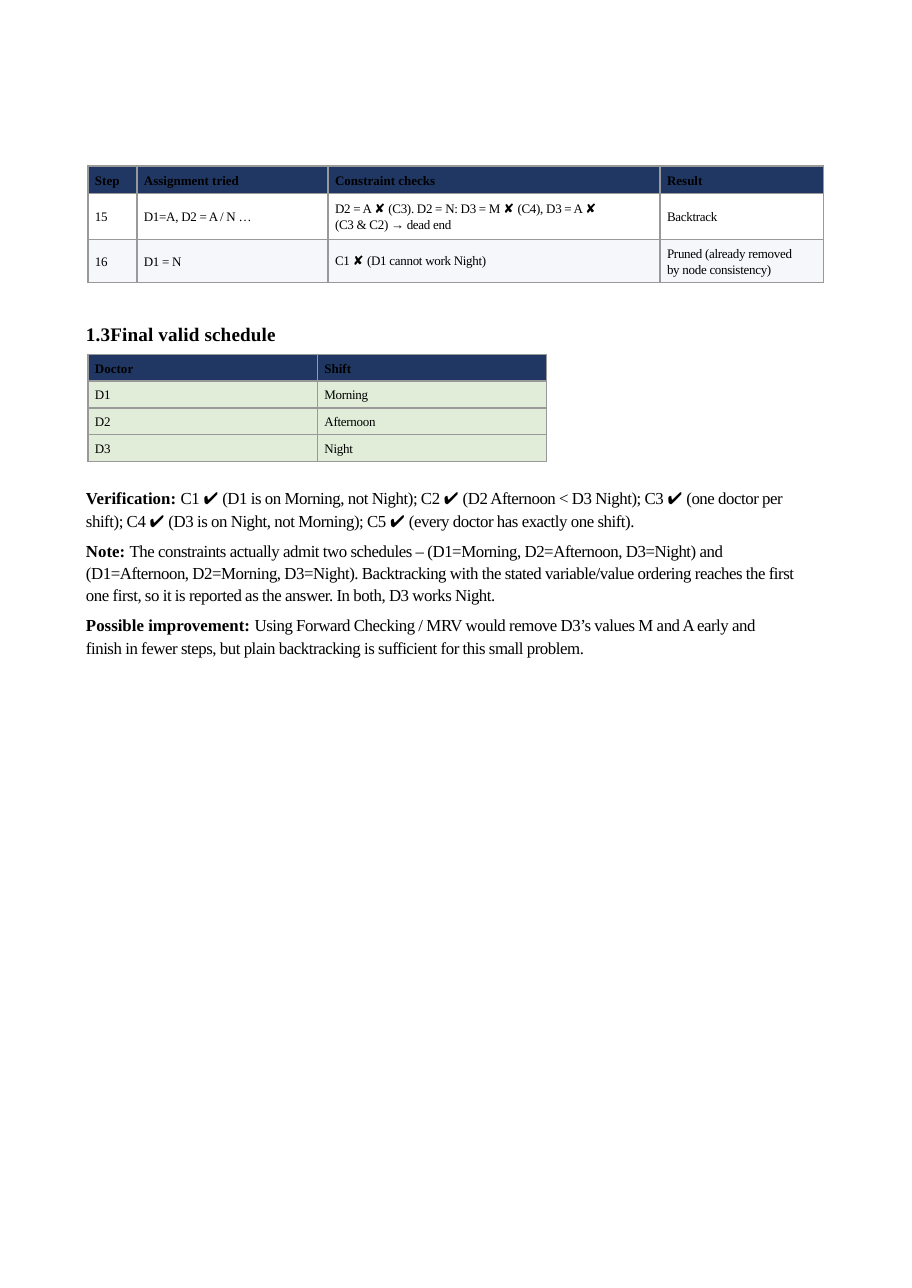
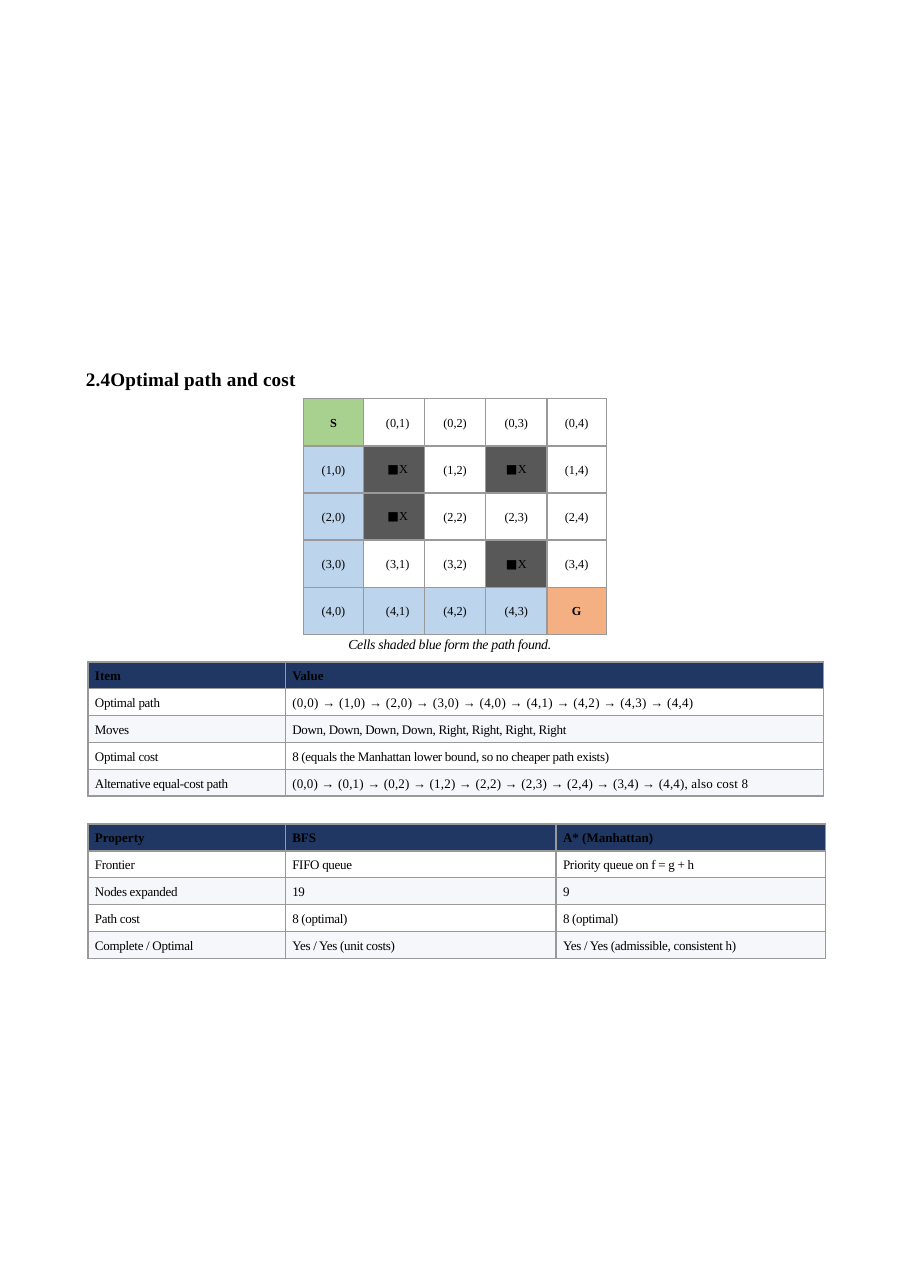
from dataclasses import dataclass, replace
from itertools import cycle, groupby

from lxml.etree import SubElement
from pptx import Presentation
from pptx.dml.color import RGBColor
from pptx.enum.text import MSO_ANCHOR, MSO_AUTO_SIZE, PP_ALIGN
from pptx.oxml import parse_xml
from pptx.oxml.ns import nsdecls, qn
from pptx.util import Pt


@dataclass(frozen=True)
class TextStyle:
    size: float
    line: float
    tracking: float = 0
    bold: bool = False
    italic: bool = False


@dataclass(frozen=True)
class Theme:
    text_font: str = "Times New Roman"
    symbol_font: str = "Calibri"
    symbols: str = "✘✔■"
    symbol_tracking: float = 0.2
    ink: str = "000000"
    border: str = "999999"
    header: str = "1F3762"
    stripe: str = "F6F7FA"
    valid: str = "E1EDD9"
    start: str = "A8D08E"
    route: str = "BCD5EC"
    wall: str = "585858"
    goal: str = "F4B082"
    title: TextStyle = TextStyle(12.5, 13.8, 0.1, bold=True)
    body: TextStyle = TextStyle(11, 14.6, -0.3)
    lead: TextStyle = TextStyle(11, 14.6, bold=True)
    table_head: TextStyle = TextStyle(8.5, 10.6, bold=True)
    table_text: TextStyle = TextStyle(8.5, 10.6, -0.2)
    grid_text: TextStyle = TextStyle(8, 10)
    grid_mark: TextStyle = TextStyle(8, 10, bold=True)
    caption: TextStyle = TextStyle(9, 10, -0.2, italic=True)


THEME = Theme()
PAGE_SIZE = (596.16, 841.68)
TEXT_LEFT, TABLE_LEFT = 56.2, 57.5
CELL_INSET = 4.6
ROW_HEIGHT = 17.55


def set_attributes(target, values):
    for name, value in values.items():
        setattr(target, name, value)


def place(shape, left, top, width, height):
    sides = dict(left=left, top=top, width=width, height=height)
    set_attributes(shape, {name: Pt(value) for name, value in sides.items()})


class Report:
    def __init__(self, theme):
        self.theme = theme
        self.deck = Presentation()
        self.deck.slide_width, self.deck.slide_height = map(Pt, PAGE_SIZE)
        self.page = None

    def add_page(self, layout):
        self.page = self.deck.slides.add_slide(self.deck.slide_layouts.get_by_name(layout))

    def add_text(self, para, text, style):
        """Add text to a paragraph, giving symbols their own font."""
        theme = self.theme
        for is_symbol, letters in groupby(text, lambda letter: letter in theme.symbols):
            span = para.add_run()
            span.text = "".join(letters)
            set_attributes(span.font, {
                "name": theme.symbol_font if is_symbol else theme.text_font,
                "size": Pt(style.size),
                "bold": style.bold,
                "italic": style.italic,
            })
            span.font.color.rgb = RGBColor.from_string(theme.ink)
            tracking = theme.symbol_tracking if is_symbol else style.tracking
            span._r.get_or_add_rPr().set("spc", str(round(tracking * 100)))

    def format_paragraph(self, para, style, align=PP_ALIGN.LEFT, before=0):
        set_attributes(para, {
            "alignment": align,
            "line_spacing": Pt(style.line),
            "space_before": Pt(before),
        })

    def prepare_frame(self, shape, anchor, wrap):
        frame = shape.text_frame
        set_attributes(frame, {
            "margin_left": 0, "margin_top": 0, "margin_right": 0, "margin_bottom": 0,
            "vertical_anchor": anchor, "word_wrap": wrap, "auto_size": MSO_AUTO_SIZE.NONE,
        })
        return frame

    def one_line(self, shape, text, style, position):
        place(shape, *position)
        para = self.prepare_frame(shape, MSO_ANCHOR.MIDDLE, False).paragraphs[0]
        self.format_paragraph(para, style)
        self.add_text(para, text, style)

    def title(self, text, top, width):
        self.one_line(self.page.shapes.title, text, self.theme.title,
                      (TEXT_LEFT, top, width, 13.8))

    def caption(self, text, left, top, width):
        box = self.page.shapes.add_textbox(0, 0, 0, 0)
        self.one_line(box, text, self.theme.caption, (left, top, width, 10))

    def body(self, remarks, top, width, height):
        """Fill the body placeholder with (bold lead, text) paragraphs."""
        box = self.page.placeholders[1]
        place(box, TEXT_LEFT, top, width, height)
        frame = self.prepare_frame(box, MSO_ANCHOR.TOP, True)
        for index, (lead, text) in enumerate(remarks):
            para = frame.add_paragraph() if index else frame.paragraphs[0]
            properties = para._p.get_or_add_pPr()
            properties.set("marL", "0")
            properties.set("indent", "0")
            SubElement(properties, qn("a:buNone"))
            self.format_paragraph(para, self.theme.body, before=5 if index else 0)
            self.add_text(para, lead, self.theme.lead)
            self.add_text(para, text, self.theme.body)

    def add_table(self, left, top, widths, heights):
        frame = self.page.shapes.add_table(
            len(heights), len(widths), Pt(left), Pt(top), Pt(sum(widths)), Pt(sum(heights)))
        table = frame.table
        table.first_row = table.horz_banding = False
        for column, width in zip(table.columns, widths):
            column.width = Pt(width)
        for row, height in zip(table.rows, heights):
            row.height = Pt(height)
        return table

    def fill_cell(self, cell, text, style, fill, align=PP_ALIGN.LEFT, inset=CELL_INSET):
        set_attributes(cell, {
            "margin_left": Pt(inset), "margin_right": 0, "margin_top": 0, "margin_bottom": 0,
            "vertical_anchor": MSO_ANCHOR.MIDDLE,
        })
        if fill:
            cell.fill.solid()
            cell.fill.fore_color.rgb = RGBColor.from_string(fill)
        else:
            cell.fill.background()
        self.outline_cell(cell)
        for index, line in enumerate(text.split("\n")):
            para = cell.text_frame.add_paragraph() if index else cell.text_frame.paragraphs[0]
            self.format_paragraph(para, style, align)
            self.add_text(para, line, style)

    def outline_cell(self, cell):
        properties = cell._tc.get_or_add_tcPr()
        for index, side in enumerate("LRTB"):
            properties.insert(index, parse_xml(
                f'<a:ln{side} {nsdecls("a")} w="{Pt(1)}"><a:solidFill>'
                f'<a:srgbClr val="{self.theme.border}"/></a:solidFill></a:ln{side}>'))

    def data_table(self, top, widths, rows, bands, heights=None, tracking=None):
        """Draw a header row and banded rows; tracking maps (row, column) to spacing."""
        theme = self.theme
        table = self.add_table(TABLE_LEFT, top, widths, heights or [ROW_HEIGHT] * len(rows))
        band = cycle(bands)
        for row, texts in enumerate(rows):
            fill = next(band) if row else theme.header
            base = theme.table_text if row else theme.table_head
            for column, text in enumerate(texts):
                spacing = (tracking or {}).get((row, column), base.tracking)
                self.fill_cell(table.cell(row, column), text,
                               replace(base, tracking=spacing), fill)

    def maze(self, left, top, widths, height, plan, insets):
        """Draw a plan where S is start, G goal, # a wall, P the route and . open."""
        theme = self.theme
        fills = {"S": theme.start, "G": theme.goal, "#": theme.wall, "P": theme.route}
        table = self.add_table(left, top, widths, [height] * len(plan))
        for row, marks in enumerate(plan):
            for column, mark in enumerate(marks):
                label = {"S": "S", "G": "G", "#": "■X"}.get(mark, f"({row},{column})")
                style = theme.grid_mark if mark in "SG" else theme.grid_text
                self.fill_cell(table.cell(row, column), label, style, fills.get(mark),
                               PP_ALIGN.CENTER, insets.get(column, 0))


def schedule_page(report):
    report.add_page("Title and Content")
    report.title("1.3Final valid schedule", 211.7, 128)
    report.body([
        ("Verification: ",
         "C1 ✔ (D1 is on Morning, not Night); C2 ✔ (D2 Afternoon < D3 Night); "
         "C3 ✔ (one doctor per shift); C4 ✔ (D3 is on Night, not Morning); "
         "C5 ✔ (every doctor has exactly one shift)."),
        ("Note: ",
         "The constraints actually admit two schedules – (D1=Morning, D2=Afternoon, "
         "D3=Night) and (D1=Afternoon, D2=Morning, D3=Night). Backtracking with the stated "
         "variable/value ordering reaches the first one first, so it is reported as the "
         "answer. In both, D3 works Night."),
        ("Possible improvement: ",
         "Using Forward Checking / MRV would remove D3’s values M and A early and finish in "
         "fewer steps, but plain backtracking is sufficient for this small problem."),
    ], 317.6, 463, 113)
    report.data_table(108.5, [32, 125, 217, 107], [
        ("Step", "Assignment tried", "Constraint checks", "Result"),
        ("15", "D1=A, D2 = A / N …",
         "D2 = A ✘ (C3). D2 = N: D3 = M ✘ (C4), D3 = A ✘\n(C3 & C2) → dead end", "Backtrack"),
        ("16", "D1 = N", "C1 ✘ (D1 cannot work Night)",
         "Pruned (already removed\nby node consistency)"),
    ], (None, THEME.stripe), heights=[18, 30, 28])
    report.data_table(231.5, [150, 150], [
        ("Doctor", "Shift"), ("D1", "Morning"), ("D2", "Afternoon"), ("D3", "Night"),
    ], (THEME.valid,))


def route_page(report):
    report.add_page("Title Only")
    report.title("2.4Optimal path and cost", 241.2, 141)
    report.maze(198.5, 260.6, [39, 40, 40, 40, 39], 30.8,
                ["S....", "P#.#.", "P#...", "P..#.", "PPPPG"], {1: 5})
    report.caption("Cells shaded blue form the path found.", 227.7, 416.2, 142)
    report.data_table(432.5, [129, 352], [
        ("Item", "Value"),
        ("Optimal path",
         "(0,0) → (1,0) → (2,0) → (3,0) → (4,0) → (4,1) → (4,2) → (4,3) → (4,4)"),
        ("Moves", "Down, Down, Down, Down, Right, Right, Right, Right"),
        ("Optimal cost", "8 (equals the Manhattan lower bound, so no cheaper path exists)"),
        ("Alternative equal-cost path",
         "(0,0) → (0,1) → (0,2) → (1,2) → (2,2) → (2,3) → (2,4) → (3,4) → (4,4), also cost 8"),
    ], (None, THEME.stripe), tracking={(1, 1): 0.2, (4, 1): 0.1})
    report.data_table(538.5, [129, 177, 176], [
        ("Property", "BFS", "A* (Manhattan)"),
        ("Frontier", "FIFO queue", "Priority queue on f = g + h"),
        ("Nodes expanded", "19", "9"),
        ("Path cost", "8 (optimal)", "8 (optimal)"),
        ("Complete / Optimal", "Yes / Yes (unit costs)", "Yes / Yes (admissible, consistent h)"),
    ], (None, THEME.stripe))


def main():
    report = Report(THEME)
    schedule_page(report)
    route_page(report)
    report.deck.save("out.pptx")


if __name__ == "__main__":
    main()
